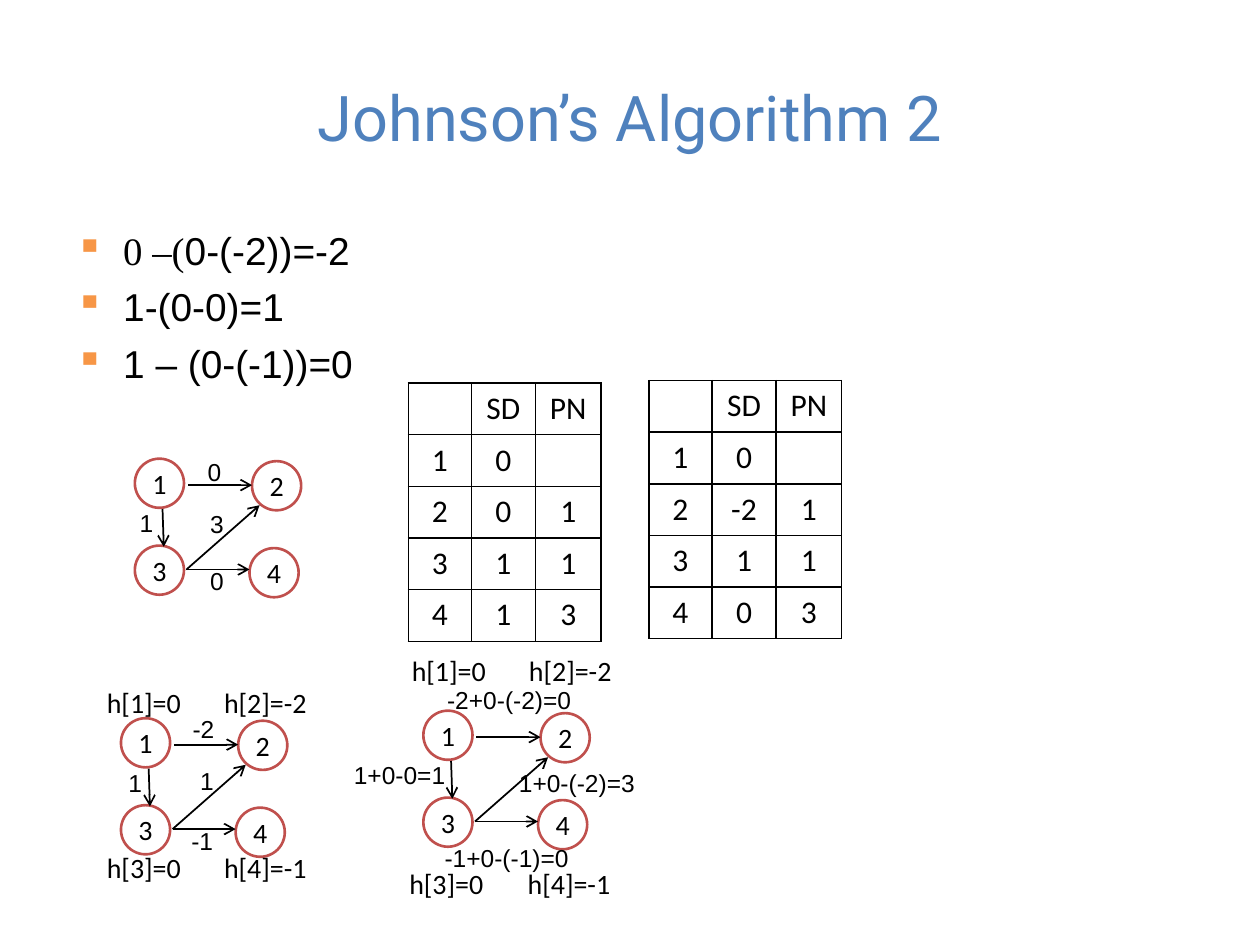
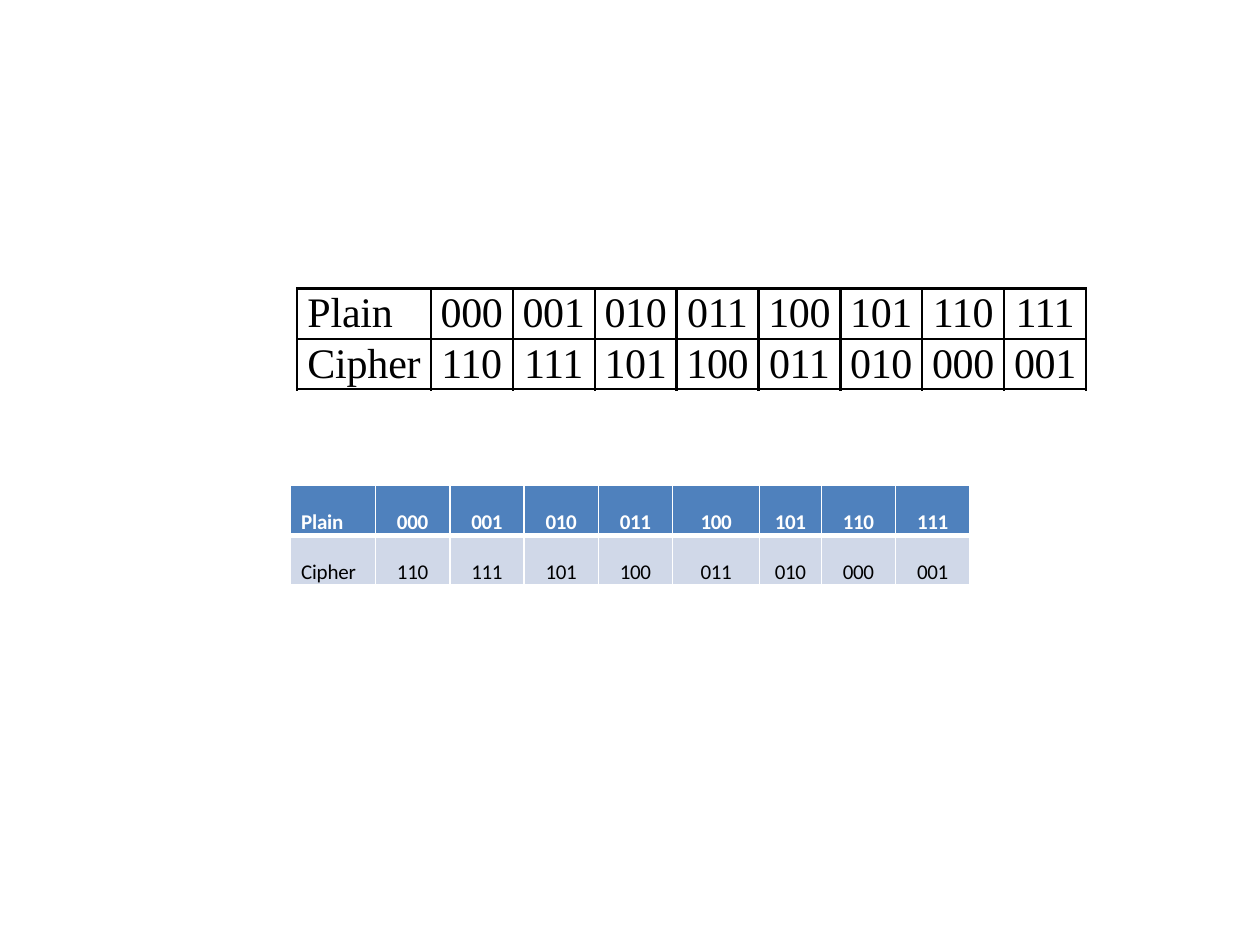
"""Build two slides: Johnson's algorithm worked on small graphs, and a cipher table."""
from lxml import etree
from pptx import Presentation, util as u
from pptx.dml.color import RGBColor
from pptx.enum import shapes as sh, text as tx
from pptx.oxml.ns import qn

In, Pt = u.Inches, u.Pt
MID = tx.PP_ALIGN.CENTER
theme = {
    "ink": "000000", "paper": "FFFFFF", "blue": "4F81BD", "pale": "D0D8E8",
    "red": "C0504D", "gold": "F79646",
    "title": {"name": "Roboto", "size": Pt(36), "color": "4F81BD"},
    "serif": {"name": "Times New Roman", "size": Pt(22.2)},
    "body": {"name": "Arial", "size": Pt(22.2)},
    "node": {"name": "Calibri", "size": Pt(16)},
    "cost": {"name": "Arial", "size": Pt(14)},
    "cell": {"name": "Calibri", "size": Pt(18)},
    "code": {"name": "Times New Roman", "size": Pt(24)},
    "head": {"name": "Calibri", "size": Pt(12), "bold": True, "color": "FFFFFF"},
    "data": {"name": "Calibri", "size": Pt(12), "bold": False},
}


def write(par, words, style):
    """Add a run in a theme style and return it."""
    run = par.add_run()
    run.text = words
    look = {"color": theme["ink"], **theme[style]}
    run.font.color.rgb = RGBColor.from_string(look.pop("color"))
    for key, val in look.items():
        setattr(run.font, key, val)
    return run


def grid(slide, spot, cols, highs, rows, styles, fills, edges, pad=None):
    """Add a table; a pad in inches makes it a tight code table."""
    frame = slide.shapes.add_table(len(rows), len(cols), In(spot[0]), In(spot[1]),
                                   In(sum(cols)), In(sum(highs)))
    table = frame.table
    table.first_row = table.horz_banding = False
    for col, wide in zip(table.columns, cols):
        col.width = In(wide)
    for r, row in enumerate(rows):
        table.rows[r].height = In(highs[r])
        for c, words in enumerate(row):
            cell = table.cell(r, c)
            par = cell.text_frame.paragraphs[0]
            par.alignment = MID
            run = write(par, words, styles[r]) if words else None
            if pad is not None:
                for side in ("left", "right", "top"):
                    setattr(cell, "margin_" + side, In(pad))
                cell.margin_bottom = 0
                par.line_spacing = Pt(27.6)
                run.font._element.set("spc", "-20" if c else "-10")
                if c == 0:
                    par.alignment = tx.PP_ALIGN.LEFT
                    par._p.get_or_add_pPr().set("marL", str(In(0.08)))
            if fills[r]:
                cell.fill.solid()
                cell.fill.fore_color.rgb = RGBColor.from_string(fills[r])
            else:
                cell.fill.background()
            hue, sizes = edges[r]
            props = cell._tc.get_or_add_tcPr()
            for i, (side, size) in enumerate(zip("LRTB", sizes)):
                line = etree.Element(qn("a:ln" + side), w=str(Pt(size)))
                fill = etree.SubElement(line, qn("a:solidFill"))
                etree.SubElement(fill, qn("a:srgbClr"), val=hue)
                props.insert(i, line)


deck = Presentation()
deck.slide_width, deck.slide_height = In(10), In(7.5)

slide = deck.slides.add_slide(deck.slide_layouts[5])
title = slide.shapes.title
title.left, title.top, title.width, title.height = In(0.5), In(0.3), In(9), In(1.25)
title.text_frame.vertical_anchor = tx.MSO_ANCHOR.MIDDLE
par = title.text_frame.paragraphs[0]
par.alignment = MID
write(par, "Johnson’s Algorithm 2", "title")

frame = slide.shapes.add_textbox(In(0.5), In(1.75), In(9), In(1.25)).text_frame
frame.word_wrap = True
sums = [
    [("0 –(", "serif"), ("0-(-2))=-2", "body")],
    [("1-(0-0)=1", "body")],
    [("1 – (0-(-1))=0", "body")],
]
for i, parts in enumerate(sums):
    par = frame.add_paragraph() if i else frame.paragraphs[0]
    props = par._p.get_or_add_pPr()
    props.set("marL", str(In(0.38)))
    props.set("indent", str(In(-0.38)))
    tint = etree.SubElement(props, qn("a:buClr"))
    etree.SubElement(tint, qn("a:srgbClr"), val=theme["gold"])
    etree.SubElement(props, qn("a:buChar"), char="▪")
    if i:
        par.space_before = Pt(5.6)
    for words, style in parts:
        write(par, words, style)

nodes = [("1", 0, 0), ("2", 0.93, 0.02), ("3", 0, 0.69), ("4", 0.91, 0.71)]
arcs = [(0.93, 0.21, 0.42, 0.21), (0.23, 0.7, 0.22, 0.4),
        (0.99, 0.37, 0.41, 0.88), (0.91, 0.88, 0.41, 0.88)]
graphs = [
    (1.07, 3.64, [("0", 1.55, 3.58, 0.33), ("1", 1.01, 3.98, 0.29),
                  ("3", 1.57, 3.99, 0.22), ("0", 1.57, 4.44, 0.33)], []),
    (0.96, 5.7, [("-2", 1.43, 5.62, 0.38), ("1", 0.92, 6.05, 0.39),
                 ("1", 1.49, 6.03, 0.39), ("-1", 1.42, 6.51, 0.39)],
     [("h[1]=0", 0.75, 5.39, 0.8), ("h[2]=-2", 1.68, 5.39, 0.86),
      ("h[3]=0", 0.75, 6.7, 0.8), ("h[4]=-1", 1.68, 6.7, 0.86)]),
    (3.36, 5.64, [("-2+0-(-2)=0", 3.45, 5.39, 1.23), ("1+0-0=1", 2.71, 5.98, 0.98),
                  ("1+0-(-2)=3", 4.02, 6.05, 1.23), ("-1+0-(-1)=0", 3.43, 6.64, 1.33)],
     [("h[1]=0", 3.17, 5.14, 0.8), ("h[2]=-2", 4.1, 5.14, 0.86),
      ("h[3]=0", 3.15, 6.83, 0.8), ("h[4]=-1", 4.09, 6.83, 0.86)]),
]
for x, y, costs, marks in graphs:
    for name, dx, dy in nodes:
        ring = slide.shapes.add_shape(sh.MSO_SHAPE.OVAL, In(x + dx), In(y + dy),
                                      In(0.39), In(0.39))
        ring.shadow.inherit = False
        ring.fill.solid()
        ring.fill.fore_color.rgb = RGBColor.from_string(theme["paper"])
        ring.line.color.rgb = RGBColor.from_string(theme["red"])
        ring.line.width = Pt(1.5)
        frame = ring.text_frame
        for side in ("left", "right", "top", "bottom"):
            setattr(frame, "margin_" + side, 0)
        frame.vertical_anchor = tx.MSO_ANCHOR.MIDDLE
        frame.word_wrap = False
        frame.paragraphs[0].alignment = MID
        write(frame.paragraphs[0], name, "node")
    for x1, y1, x2, y2 in arcs:
        arc = slide.shapes.add_connector(sh.MSO_CONNECTOR.STRAIGHT, In(x + x1), In(y + y1),
                                         In(x + x2), In(y + y2))
        arc.line.color.rgb = RGBColor.from_string(theme["ink"])
        arc.line.width = Pt(1)
        etree.SubElement(arc.line._get_or_add_ln(), qn("a:headEnd"), type="arrow")
        etree.SubElement(arc._element.spPr, qn("a:effectLst"))
    for style, tags, high in (("cost", costs, 0.34), ("node", marks, 0.37)):
        for words, left, top, wide in tags:
            frame = slide.shapes.add_textbox(In(left), In(top), In(wide), In(high)).text_frame
            frame.word_wrap = style == "cost"
            write(frame.paragraphs[0], words, style)

paths = [
    (3.24, 3.04, [("1", "0", ""), ("2", "0", "1"), ("3", "1", "1"), ("4", "1", "3")]),
    (5.15, 3.02, [("1", "0", ""), ("2", "-2", "1"), ("3", "1", "1"), ("4", "0", "3")]),
]
for left, top, rows in paths:
    grid(slide, (left, top), [0.5, 0.51, 0.52], [0.41] * 5, [("", "SD", "PN")] + rows,
         ["cell"] * 5, [None] * 5, [(theme["ink"], [1] * 4)] * 5)

slide = deck.slides.add_slide(deck.slide_layouts[6])
codes = ["Plain 000 001 010 011 100 101 110 111".split(),
         "Cipher 110 111 101 100 011 010 000 001".split()]
grid(slide, (2.3, 3.85), [0.68] + [0.59] * 4 + [0.69, 0.49, 0.59, 0.59], [0.4, 0.26], codes,
     ["head", "data"], [theme["blue"], theme["pale"]],
     [(theme["paper"], [1, 1, 1, 3]), (theme["paper"], [1] * 4)], 0.01)
grid(slide, (2.36, 2.29), [1.06] + [0.65] * 8, [0.4, 0.4], codes,
     ["code"] * 2, [None] * 2, [(theme["ink"], [1.5] * 4)] * 2, 0)

deck.save("out.pptx")
